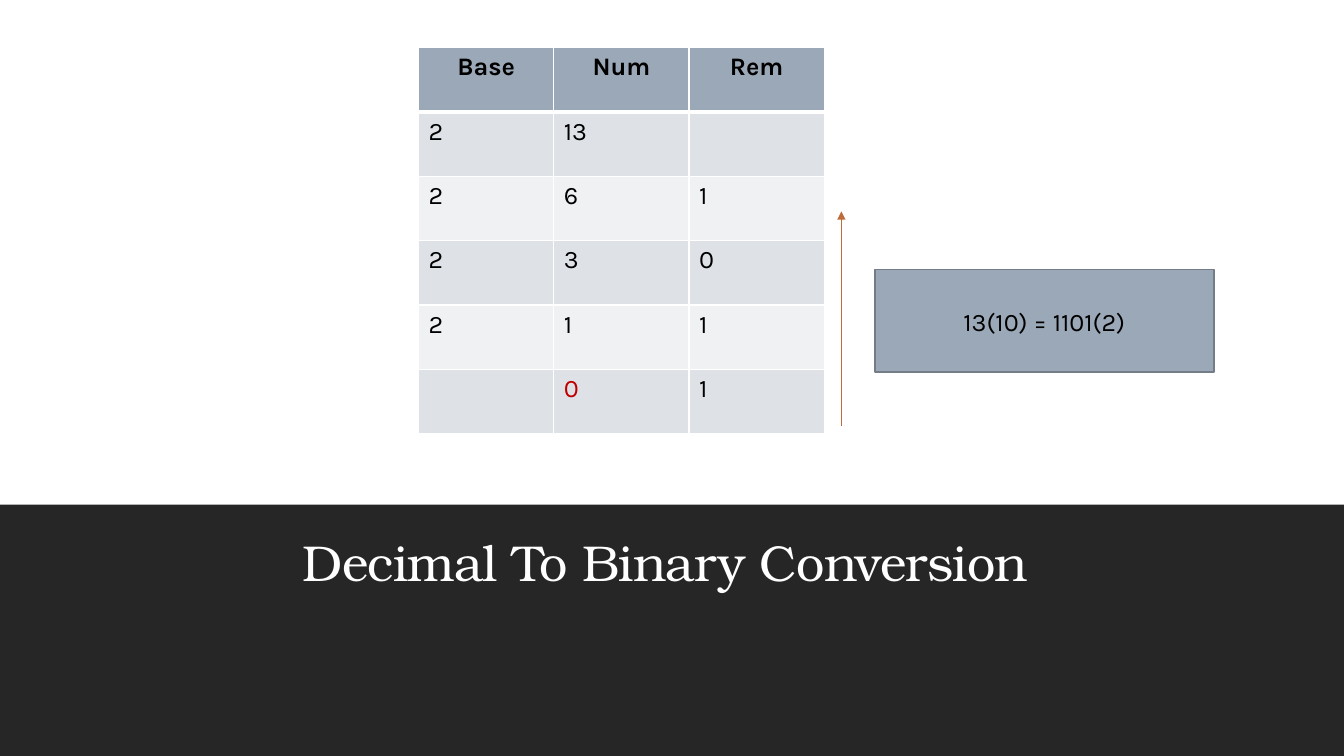
from dataclasses import dataclass
from lxml import etree
from pptx import Presentation
from pptx.dml.color import RGBColor
from pptx.enum import shapes, text
from pptx.oxml import ns
from pptx.util import Pt


@dataclass(frozen=True)
class Theme:
    head: str = "TeX Gyre Bonum"
    body: str = "Karla"
    big: float = 36
    size: float = 18
    dark: str = "262626"
    white: str = "FFFFFF"
    black: str = "000000"
    slate: str = "9BA8B7"
    edge: str = "737C87"
    odd: str = "DEE1E6"
    even: str = "EFF1F3"
    rust: str = "BF6A3B"
    red: str = "C00000"


class Deck:
    def __init__(self, theme, slide):
        self.theme, self.slide = theme, slide

    def label(self, frame, words, color, size=None, font=None, bold=False, align=None):
        para = frame.paragraphs[0]
        para.alignment = align
        run = para.add_run()
        run.text = words
        run.font.name = font or self.theme.body
        run.font.size = Pt(size or self.theme.size)
        run.font.bold = bold
        run.font.color.rgb = RGBColor.from_string(color)
        return para, run

    def title(self, words, x, y, w, h):
        box = self.slide.shapes.title
        box.left, box.top, box.width, box.height = map(Pt, (x, y, w, h))
        frame = box.text_frame
        frame.auto_size = text.MSO_AUTO_SIZE.NONE
        frame.vertical_anchor = text.MSO_ANCHOR.BOTTOM
        frame.margin_top = frame.margin_bottom = 0
        para, run = self.label(frame, words, self.theme.white, self.theme.big,
                               self.theme.head, align=text.PP_ALIGN.CENTER)
        para.line_spacing = 0.9
        run.font._element.set("spc", "-50")
        self.slide.shapes._spTree.append(box._element)

    def rect(self, x, y, w, h, fill, edge=None, words=None):
        box = self.slide.shapes.add_shape(shapes.MSO_SHAPE.RECTANGLE, *map(Pt, (x, y, w, h)))
        box.shadow.inherit = False
        box.fill.solid()
        box.fill.fore_color.rgb = RGBColor.from_string(fill)
        if edge:
            box.line.color.rgb = RGBColor.from_string(edge)
            box.line.width = Pt(1.25)
        else:
            box.line.fill.background()
        if words:
            box.text_frame.vertical_anchor = text.MSO_ANCHOR.MIDDLE
            self.label(box.text_frame, words, self.theme.black, align=text.PP_ALIGN.CENTER)

    def border(self, cell, side, width):
        props = cell._tc.get_or_add_tcPr()
        line = etree.SubElement(props, ns.qn("a:ln" + side), w=str(Pt(width)))
        fill = etree.SubElement(line, ns.qn("a:solidFill"))
        etree.SubElement(fill, ns.qn("a:srgbClr"), val=self.theme.white)

    def table(self, rows, x, y, wide, high, marks):
        look = self.theme
        count, span = len(rows), len(rows[0])
        grid = self.slide.shapes.add_table(
            count, span, Pt(x), Pt(y), Pt(wide * span), Pt(high * count)).table
        for col in grid.columns:
            col.width = Pt(wide)
        for r, row in enumerate(rows):
            grid.rows[r].height = Pt(high)
            top = r == 0
            fill = look.slate if top else look.odd if r % 2 else look.even
            for c, words in enumerate(row):
                cell = grid.cell(r, c)
                for side in "LRTB":
                    thick = (side == "B" and top) or (side == "T" and r == 1)
                    self.border(cell, side, 3 if thick else 1)
                cell.fill.solid()
                cell.fill.fore_color.rgb = RGBColor.from_string(fill)
                if words:
                    self.label(cell.text_frame, words, marks.get((r, c), look.black),
                               bold=top, align=text.PP_ALIGN.CENTER if top else None)

    def arrow(self, x, start, end):
        line = self.slide.shapes.add_connector(
            shapes.MSO_CONNECTOR.STRAIGHT, Pt(x), Pt(start), Pt(x), Pt(end))
        line.line.color.rgb = RGBColor.from_string(self.theme.rust)
        line.line.width = Pt(1)
        etree.SubElement(line.line._get_or_add_ln(), ns.qn("a:tailEnd"), type="triangle")
        etree.SubElement(line._element.spPr, ns.qn("a:effectLst"))


def main():
    show = Presentation()
    show.slide_width, show.slide_height = Pt(960), Pt(540)
    look = Theme()
    deck = Deck(look, show.slides.add_slide(show.slide_layouts[5]))
    deck.rect(0, 360.5, 960, 179.5, look.dark)
    deck.title("Decimal To Binary Conversion", 204.5, 365, 541.5, 58.5)
    steps = [
        ("Base", "Num", "Rem"),
        ("2", "13", ""),
        ("2", "6", "1"),
        ("2", "3", "0"),
        ("2", "1", "1"),
        ("", "0", "1"),
    ]
    deck.table(steps, 299, 34, 96.6, 46, {(5, 1): look.red})
    deck.arrow(601, 304, 151)
    deck.rect(625, 192.5, 242, 73.5, look.slate, look.edge, "13(10) = 1101(2)")
    show.save("out.pptx")


if __name__ == "__main__":
    main()
